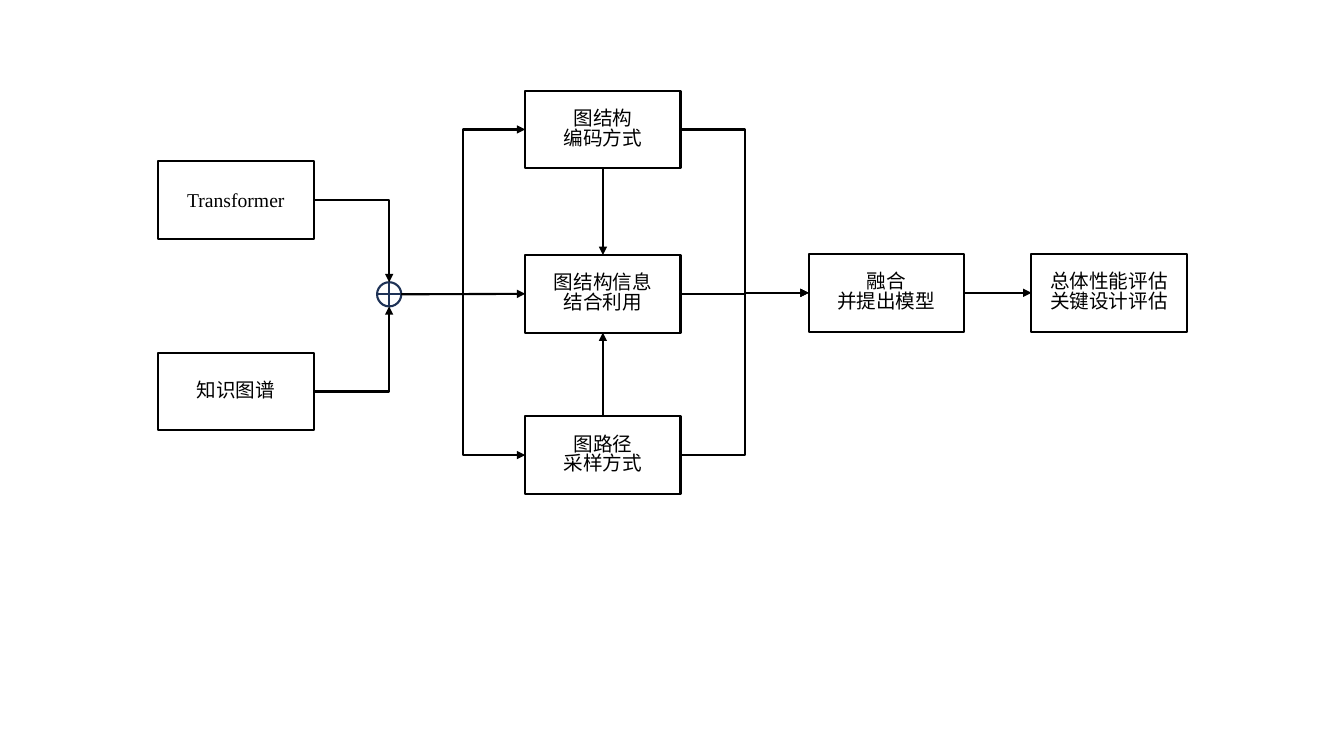
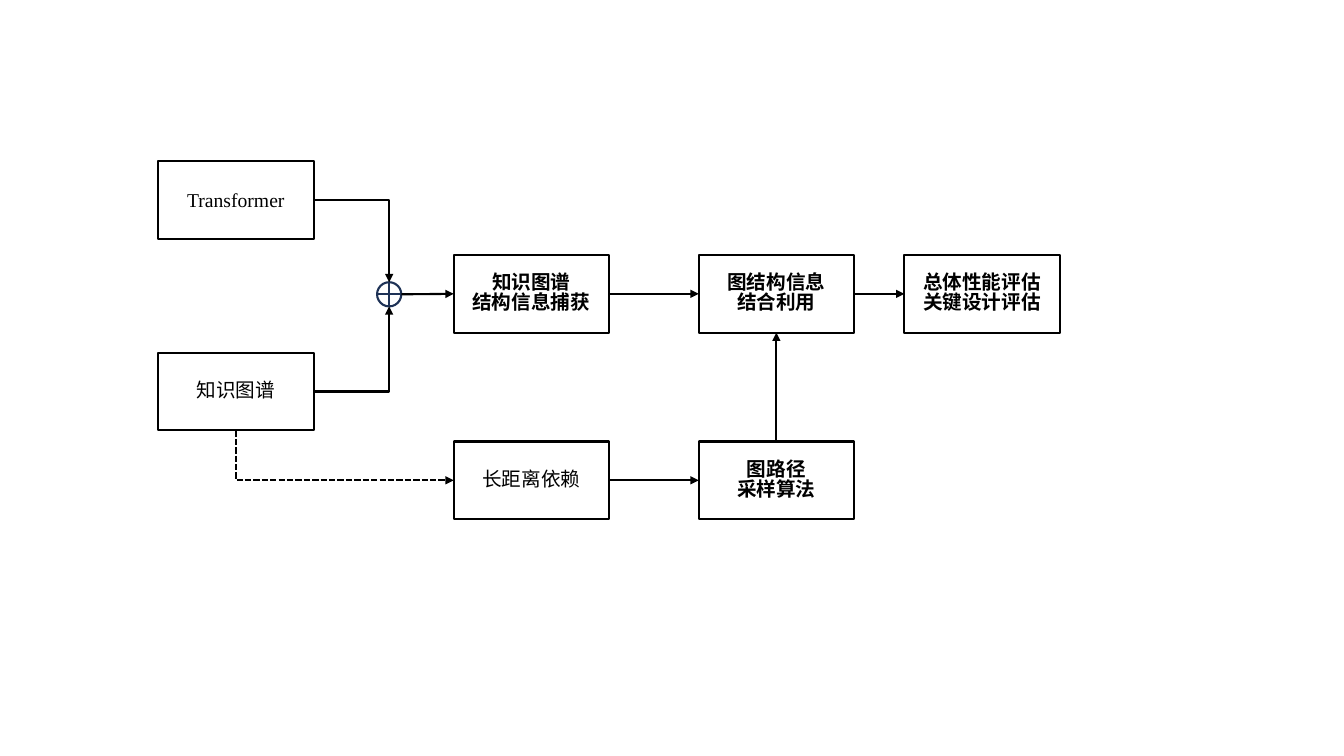
from lxml import etree
from pptx import Presentation, util as u
from pptx.dml.color import RGBColor
from pptx.enum import dml, shapes, text
from pptx.oxml.ns import qn

W, H = 13.33, 7.5
BOX_W, BOX_H, OR_D = 1.54, 0.77, 0.24
INK, PAPER, NAVY = "000000", "FFFFFF", "1E3256"
CJK, LATIN = "Noto Sans CJK SC", "Times New Roman"
IN_X, IN_ROWS = 1.57, (1.6, 3.5)
OR_X, OR_Y = 3.74, 2.8
MID_Y = 2.53
SIDES = {"top": (0.5, 0, 0), "left": (0, 0.5, 1), "bottom": (0.5, 1, 2), "right": (1, 0.5, 3)}


def color(hex_value):
    return RGBColor.from_string(hex_value)


def style_line(line, hex_value=INK):
    line.color.rgb = color(hex_value)
    line.width = u.Pt(1.5)


def add_box(s, x, y, *lines, bold=False, font=CJK):
    sp = s.shapes.add_shape(shapes.MSO_SHAPE.FLOWCHART_PROCESS,
                            *map(u.Inches, (x, y, BOX_W, BOX_H)))
    sp.shadow.inherit = False
    sp.fill.solid()
    sp.fill.fore_color.rgb = color(PAPER)
    style_line(sp.line)
    tf = sp.text_frame
    tf.word_wrap = True
    tf.vertical_anchor = text.MSO_ANCHOR.MIDDLE
    for i, line in enumerate(lines):
        p = tf.add_paragraph() if i else tf.paragraphs[0]
        p.alignment = text.PP_ALIGN.CENTER
        r = p.add_run()
        r.text = line
        for key, value in {"name": font, "size": u.Pt(14), "bold": bold}.items():
            setattr(r.font, key, value)
        r.font.color.rgb = color(INK)
        if font == CJK:
            p.line_spacing = 0.84
            etree.SubElement(r.font._element, qn("a:ea"), typeface=font)
    return sp


def add_or(s, x, y):
    sp = s.shapes.add_shape(shapes.MSO_SHAPE.FLOWCHART_OR,
                            *map(u.Inches, (x, y, OR_D, OR_D)))
    sp.shadow.inherit = False
    sp.fill.background()
    style_line(sp.line, NAVY)
    return sp


def anchor(sp, side):
    fx, fy, site = SIDES[side]
    if sp.auto_shape_type == shapes.MSO_SHAPE.FLOWCHART_OR:
        site *= 2
    return int(sp.left + fx * sp.width), int(sp.top + fy * sp.height), site


def turn_down_first(cx):
    mid_x, mid_y = cx.left + cx.width // 2, cx.top + cx.height // 2
    cx.width, cx.height = cx.height, cx.width
    cx.left, cx.top = mid_x - cx.width // 2, mid_y - cx.height // 2
    xfrm = cx._element.spPr.find(qn("a:xfrm"))
    xfrm.set("rot", "16200000")
    xfrm.set("flipH", "1")


def link(s, start, end, sides=("right", "left"), bend=0, dashed=False):
    kind = shapes.MSO_CONNECTOR.ELBOW if bend else shapes.MSO_CONNECTOR.STRAIGHT
    x1, y1, site1 = anchor(start, sides[0])
    x2, y2, site2 = anchor(end, sides[1])
    cx = s.shapes.add_connector(kind, x1, y1, x2, y2)
    style_line(cx.line)
    if dashed:
        cx.line.dash_style = dml.MSO_LINE.SQUARE_DOT
    sp_pr = cx._element.spPr
    etree.SubElement(sp_pr.find(qn("a:ln")), qn("a:tailEnd"), type="triangle")
    etree.SubElement(sp_pr, qn("a:effectLst"))
    if bend == 2:
        sp_pr.find(qn("a:prstGeom")).set("prst", "bentConnector2")
        if sides[0] == "bottom":
            turn_down_first(cx)
    ends = cx._element.find(".//" + qn("p:cNvCxnSpPr"))
    for tag, sp, site in (("a:stCxn", start, site1), ("a:endCxn", end, site2)):
        etree.SubElement(ends, qn(tag), id=str(sp.shape_id), idx=str(site))


def add_inputs(s):
    model = add_box(s, IN_X, IN_ROWS[0], "Transformer", font=LATIN)
    graph = add_box(s, IN_X, IN_ROWS[1], "知识图谱")
    merge = add_or(s, OR_X, OR_Y)
    link(s, model, merge, ("right", "top"), bend=2)
    link(s, graph, merge, ("right", "bottom"), bend=2)
    return graph, merge


def build_overview(s):
    _, merge = add_inputs(s)
    steps = [add_box(s, 5.21, y, *lines) for y, lines in (
        (0.9, ("图结构", "编码方式")),
        (MID_Y, ("图结构信息", "结合利用")),
        (4.13, ("图路径", "采样方式")))]
    encode, combine, sample = steps
    fuse = add_box(s, 8.02, 2.52, "融合", "并提出模型")
    evaluate = add_box(s, 10.23, 2.52, "总体性能评估", "关键设计评估")
    for step in steps:
        link(s, merge, step, bend=0 if step is combine else 3)
        link(s, step, fuse, bend=3)
    link(s, encode, combine, ("bottom", "top"))
    link(s, sample, combine, ("top", "bottom"))
    link(s, fuse, evaluate)


def build_method(s):
    graph, merge = add_inputs(s)
    low_y = 4.38
    capture = add_box(s, 4.5, MID_Y, "知识图谱", "结构信息捕获", bold=True)
    combine = add_box(s, 6.93, MID_Y, "图结构信息", "结合利用", bold=True)
    evaluate = add_box(s, 8.97, MID_Y, "总体性能评估", "关键设计评估", bold=True)
    distance = add_box(s, 4.5, low_y, "长距离依赖")
    sample = add_box(s, 6.93, low_y, "图路径", "采样算法", bold=True)
    for start, end in ((merge, capture), (capture, combine),
                       (combine, evaluate), (distance, sample)):
        link(s, start, end)
    link(s, sample, combine, ("top", "bottom"))
    link(s, graph, distance, ("bottom", "left"), bend=2, dashed=True)


def main():
    prs = Presentation()
    prs.slide_width, prs.slide_height = u.Inches(W), u.Inches(H)
    for build in (build_overview, build_method):
        build(prs.slides.add_slide(prs.slide_layouts[6]))
    prs.save("out.pptx")


if __name__ == "__main__":
    main()
